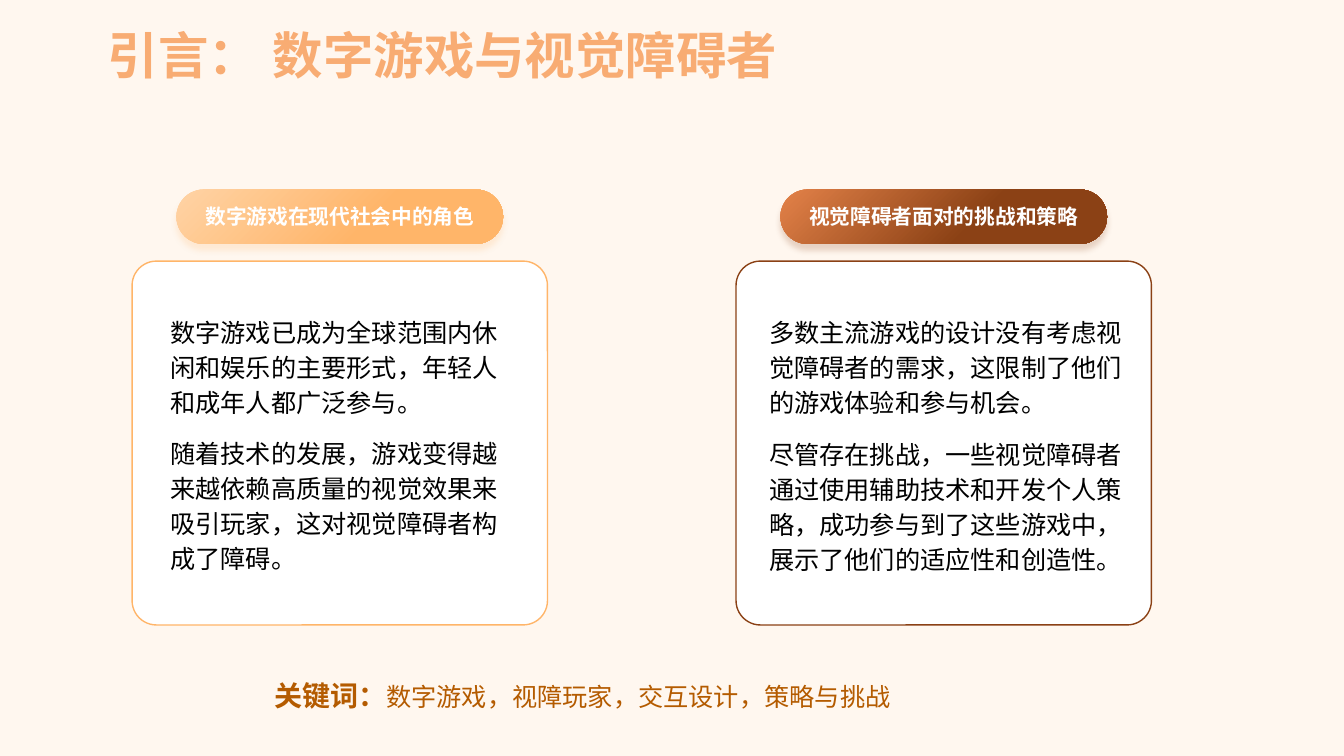
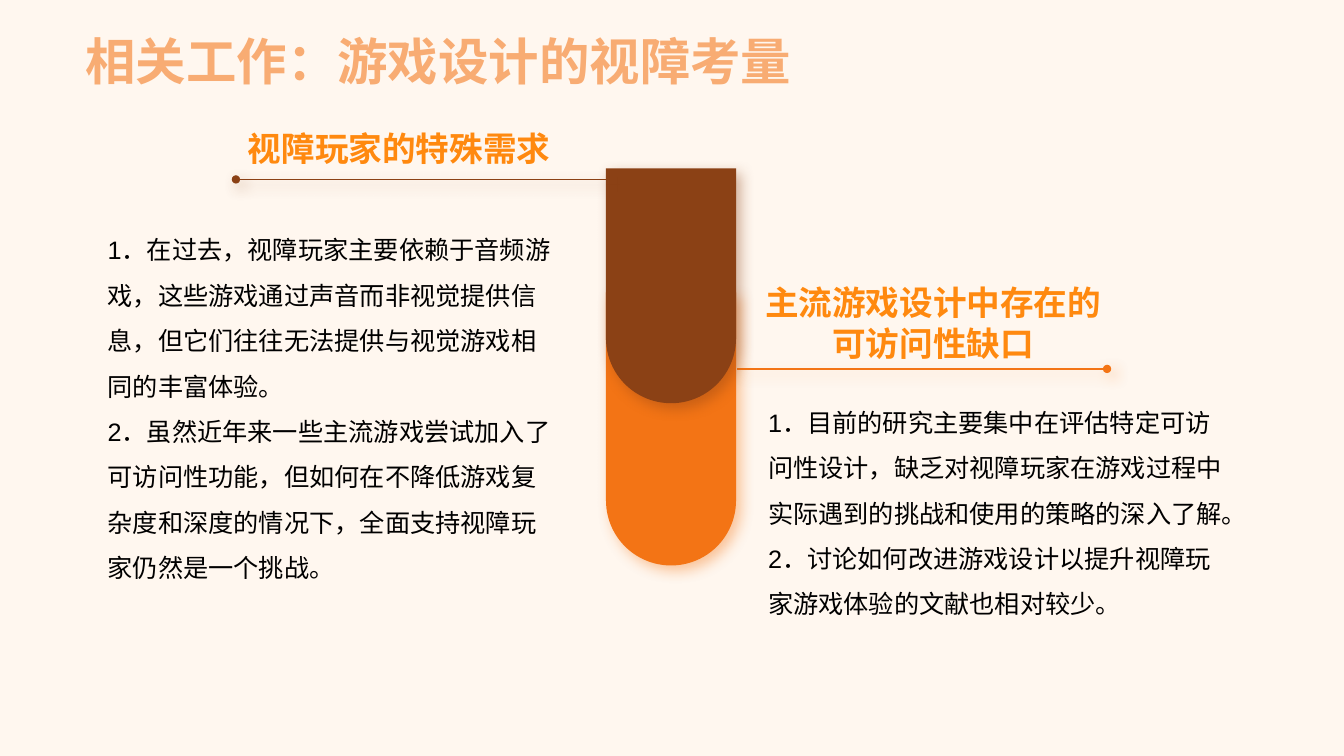
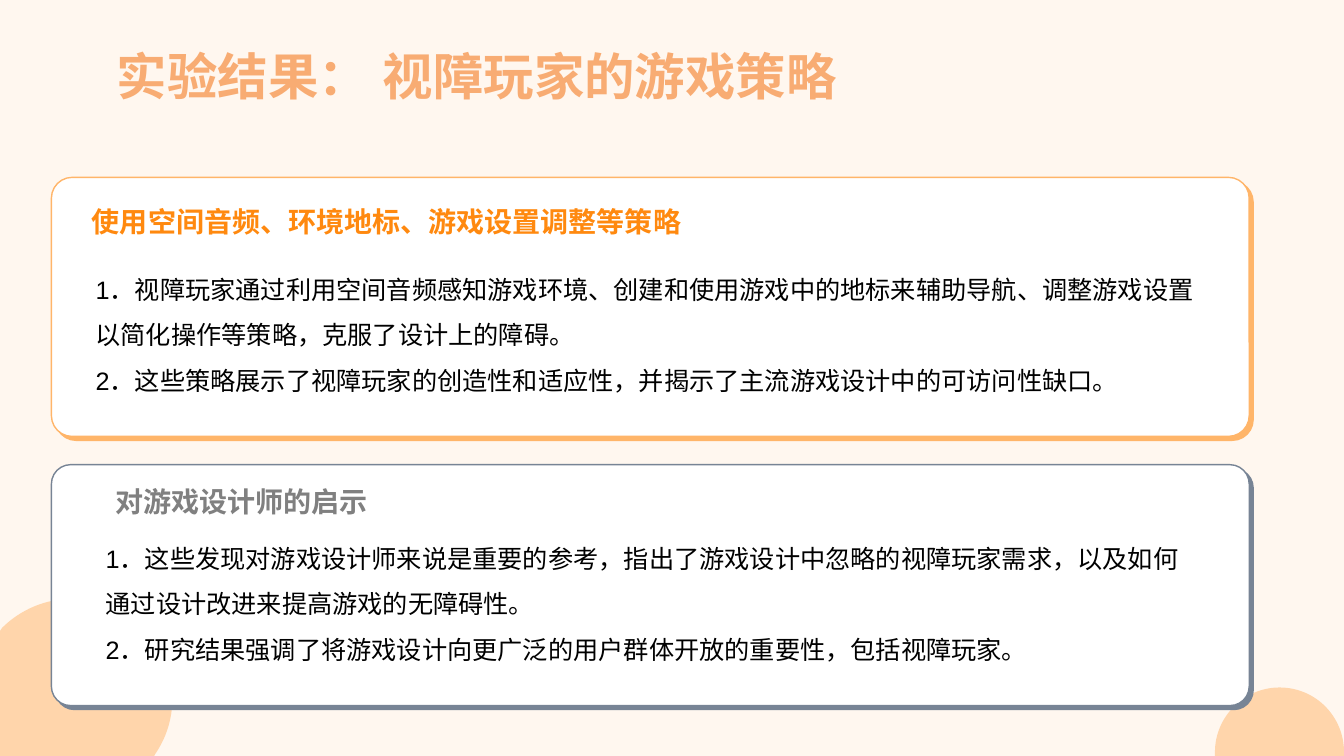
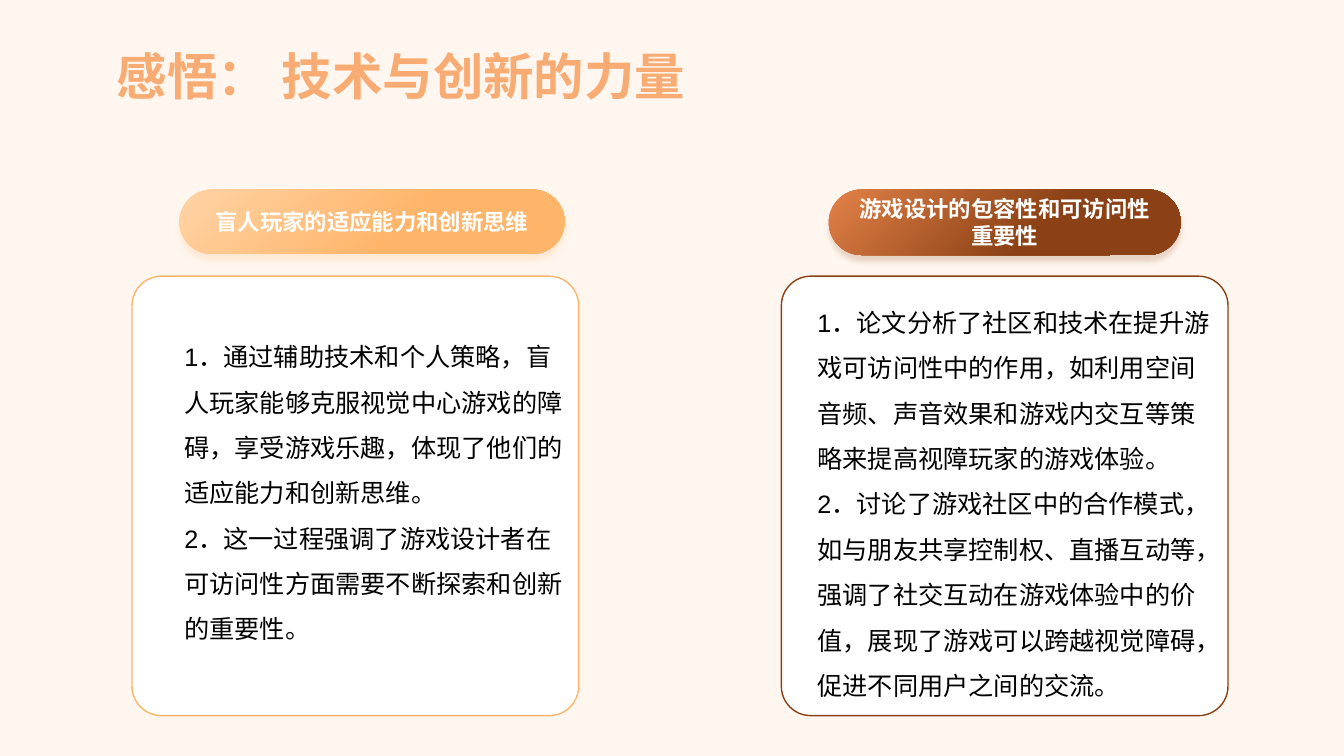
from dataclasses import dataclass

from lxml import etree
from pptx import Presentation
from pptx.dml.color import RGBColor
from pptx.enum.lang import MSO_LANGUAGE_ID
from pptx.enum.shapes import MSO_CONNECTOR, MSO_SHAPE
from pptx.enum.text import MSO_ANCHOR, MSO_AUTO_SIZE, PP_ALIGN
from pptx.oxml.ns import qn
from pptx.util import Inches, Pt

STRAIGHT = MSO_CONNECTOR.STRAIGHT
RECTANGLE = MSO_SHAPE.RECTANGLE
ROUNDED = MSO_SHAPE.ROUNDED_RECTANGLE
ROUND_TOP = MSO_SHAPE.ROUND_2_SAME_RECTANGLE
MIDDLE = MSO_ANCHOR.MIDDLE
FIT_SHAPE = MSO_AUTO_SIZE.SHAPE_TO_FIT_TEXT
LEFT, CENTER = PP_ALIGN.LEFT, PP_ALIGN.CENTER
CHINESE = MSO_LANGUAGE_ID.SIMPLIFIED_CHINESE

FONT = "Arial"
WIDTH, HEIGHT = 13.33, 7.5
WHITE = RGBColor(0xFF, 0xFF, 0xFF)
BLACK = RGBColor(0, 0, 0)
PEACH = RGBColor(0xF8, 0xAC, 0x73)
APRICOT = RGBColor(0xFF, 0xB5, 0x69)
LIGHT_APRICOT = RGBColor(0xFF, 0xD3, 0xA5)
ORANGE = RGBColor(0xF3, 0x74, 0x15)
BRIGHT_ORANGE = RGBColor(0xFF, 0x89, 0x0F)
COPPER = RGBColor(0xE3, 0x82, 0x49)
BROWN = RGBColor(0x8B, 0x41, 0x15)
AMBER = RGBColor(0xB4, 0x5B, 0x00)
SLATE = RGBColor(0x77, 0x84, 0x95)
GRAY = RGBColor(0x80, 0x80, 0x80)


@dataclass(frozen=True)
class Area:
    left: float
    top: float
    width: float
    height: float

    def lengths(self) -> list:
        return [Inches(n) for n in (self.left, self.top, self.width, self.height)]


@dataclass(frozen=True)
class Style:
    size: float
    color: RGBColor
    bold: bool = False


@dataclass(frozen=True)
class Shadow:
    opacity: int
    blur: float
    distance: float
    angle: int


@dataclass(frozen=True)
class Tone:
    start: RGBColor
    main: RGBColor


@dataclass(frozen=True)
class Card:
    area: Area
    pill: Area
    tone: Tone
    heading: str


@dataclass(frozen=True)
class Band:
    area: Area
    color: RGBColor
    line_start: float
    line_end: float
    line_top: float


@dataclass(frozen=True)
class Panel:
    area: Area
    color: RGBColor
    heading_area: Area
    heading: str
    heading_color: RGBColor
    body_area: Area
    body: list


TITLE = Style(36, PEACH, True)
BODY = Style(18, BLACK)
HEADING = Style(24, BRIGHT_ORANGE, True)
WARM = Tone(LIGHT_APRICOT, APRICOT)
DARK = Tone(COPPER, BROWN)
PILL_SHADOW = Shadow(20, 4, 4, 90)
BAND_SHADOW = Shadow(40, 10, 5, 45)
PANEL_SHADOW = Shadow(100, 0, 4, 45)
NUMBERED = {"line_spacing": 1.5}

# Corner outlines: one point is a line, three points are a curve
LEFT_CORNER = (
    ((0.72, 5.94),),
    ((1.27, 5.94), (1.71, 6.38), (1.71, 6.93)),
    ((1.71, 7.13), (1.65, 7.32), (1.54, 7.48)),
    ((1.53, 7.5),), ((0, 7.5),), ((0, 6.26),), ((0.02, 6.23),),
    ((0.2, 6.05), (0.45, 5.94), (0.72, 5.94)),
)
RIGHT_CORNER = (
    ((12.69, 6.82),),
    ((13.05, 6.82), (13.33, 7.11), (13.33, 7.46)),
    ((13.33, 7.5),), ((12.05, 7.5),), ((12.05, 7.46),),
    ((12.05, 7.11), (12.34, 6.82), (12.69, 6.82)),
)


# Shared drawing
def add_span(para, text: str, style: Style) -> None:
    span = para.add_run()
    span.text = text
    span.font.color.rgb = style.color
    values = {"name": FONT, "size": Pt(style.size), "bold": style.bold,
              "language_id": CHINESE}
    for name, value in values.items():
        setattr(span.font, name, value)
    east_asian = etree.SubElement(span._r.get_or_add_rPr(), qn("a:ea"))
    east_asian.set("typeface", FONT)


def add_text(page, area: Area, paragraphs: list, style: Style,
             para_format: dict | None = None):
    box = page.shapes.add_textbox(*area.lengths())
    frame = box.text_frame
    frame.word_wrap = True
    frame.auto_size = FIT_SHAPE
    for index, text in enumerate(paragraphs):
        para = frame.add_paragraph() if index else frame.paragraphs[0]
        for name, value in (para_format or {}).items():
            setattr(para, name, value)
        add_span(para, text, style)
    return box


def set_shadow(shape, color: RGBColor, shadow: Shadow | None) -> None:
    effects = etree.SubElement(shape._element.spPr, qn("a:effectLst"))
    if shadow is None:
        return
    outer = etree.SubElement(effects, qn("a:outerShdw"))
    values = {"blurRad": Pt(shadow.blur), "dist": Pt(shadow.distance),
              "dir": shadow.angle * 60000, "algn": "tl", "rotWithShape": 0}
    for name, value in values.items():
        outer.set(name, str(value))
    tint = etree.SubElement(outer, qn("a:srgbClr"), val=str(color))
    etree.SubElement(tint, qn("a:alpha"), val=str(shadow.opacity * 1000))


def set_tint(shape, color: RGBColor, opacity: int) -> None:
    """Give a plain see-through fill without line or shadow."""
    shape.fill.solid()
    shape.fill.fore_color.rgb = color
    tint = shape._element.spPr.find(qn("a:solidFill"))[0]
    etree.SubElement(tint, qn("a:alpha"), val=str(opacity * 1000))
    shape.line.fill.background()
    set_shadow(shape, color, None)


def add_box(page, kind, area: Area, radius: float, fill: RGBColor | Tone,
            line: RGBColor | None = None, shadow: Shadow | None = None,
            shadow_color: RGBColor = APRICOT):
    box = page.shapes.add_shape(kind, *area.lengths())
    box.adjustments[0] = radius
    if isinstance(fill, Tone):
        box.fill.gradient()
        box.fill.gradient_angle = 315
        stops = zip(box.fill.gradient_stops, (0, 0.6), (fill.start, fill.main))
        for stop, position, color in stops:
            stop.position = position
            stop.color.rgb = color
    else:
        box.fill.solid()
        box.fill.fore_color.rgb = fill
    if line is None:
        box.line.fill.background()
    else:
        box.line.color.rgb = line
        box.line.width = Pt(1)
    set_shadow(box, shadow_color, shadow)
    return box


def add_page(deck, title: str, area: Area):
    page = deck.slides.add_slide(deck.slide_layouts[6])
    add_text(page, area, [title], TITLE)
    return page


def add_master_tint(deck) -> None:
    """Place the tint on the master, where every page shows it."""
    page = deck.slides[0]
    tint = page.shapes.add_shape(RECTANGLE, *Area(0, 0, WIDTH, HEIGHT).lengths())
    set_tint(tint, APRICOT, 10)
    deck.slide_master.shapes._spTree.insert(2, tint._element)


def add_card(page, card: Card, size: float) -> None:
    add_box(page, ROUNDED, card.area, 0.067, WHITE, card.tone.main)
    pill = add_box(page, ROUNDED, card.pill, 0.5, card.tone,
                   shadow=PILL_SHADOW, shadow_color=card.tone.main)
    frame = pill.text_frame
    values = {"word_wrap": True, "vertical_anchor": MIDDLE,
              "margin_left": Inches(0.15), "margin_right": Inches(0.15)}
    for name, value in values.items():
        setattr(frame, name, value)
    frame.paragraphs[0].alignment = CENTER
    add_span(frame.paragraphs[0], card.heading, Style(size, WHITE, True))


def add_band(page, band: Band) -> None:
    box = add_box(page, ROUND_TOP, band.area, 0.5, band.color,
                  shadow=BAND_SHADOW, shadow_color=band.color)
    box.rotation = 180
    top = Inches(band.line_top)
    line = page.shapes.add_connector(STRAIGHT, Inches(band.line_start), top,
                                     Inches(band.line_end), top)
    line.line.color.rgb = band.color
    line.line.width = Pt(1)
    etree.SubElement(line.line._get_or_add_ln(), qn("a:headEnd"), type="oval")
    set_shadow(line, band.color, BAND_SHADOW)


def add_corner(page, outline: tuple) -> None:
    points = [(Inches(x), Inches(y)) for part in outline for x, y in part]
    builder = page.shapes.build_freeform(*points[0])
    builder.add_line_segments(points[1:], close=True)
    corner = builder.convert_to_shape()
    # Join each three line ends into one curve
    lines = iter(list(corner._element.iter(qn("a:lnTo"))))
    for part in outline[1:]:
        first = next(lines)
        if len(part) == 3:
            curve = etree.Element(qn("a:cubicBezTo"))
            first.addprevious(curve)
            for line in (first, next(lines), next(lines)):
                curve.append(line[0])
                line.getparent().remove(line)
    set_tint(corner, APRICOT, 50)


def add_panel(page, panel: Panel) -> None:
    add_box(page, ROUNDED, panel.area, 0.08, WHITE, panel.color,
            PANEL_SHADOW, panel.color)
    add_text(page, panel.heading_area, [panel.heading],
             Style(20, panel.heading_color, True), {"alignment": CENTER})
    add_text(page, panel.body_area, panel.body, BODY, NUMBERED)


# Slides
def build_introduction(deck) -> None:
    page = add_page(deck, "引言： 数字游戏与视觉障碍者", Area(0.97, 0.19, 7.75, 0.71))
    keywords = add_text(page, Area(2.62, 6.68, 6.67, 0.44), ["关键词："],
                        Style(20, AMBER, True))
    add_span(keywords.text_frame.paragraphs[0],
             "数字游戏，视障玩家，交互设计，策略与挑战", Style(18, AMBER))
    headings = ((1.31, WARM, "数字游戏在现代社会中的角色"),
                (7.3, DARK, "视觉障碍者面对的挑战和策略"))
    for left, tone, heading in headings:
        add_card(page, Card(Area(left, 2.59, 4.12, 3.61),
                            Area(left + 0.44, 1.88, 3.24, 0.54),
                            tone, heading), 14.8)
    texts = (
        (Area(1.59, 3.05, 3.56, 1.12), 0,
         ["数字游戏已成为全球范围内休闲和娱乐的主要形式，年轻人和成年人都广泛参与。"]),
        (Area(1.59, 4.25, 3.56, 1.61), 10,
         ["随着技术的发展，游戏变得越来越依赖高质量的视觉效果来吸引玩家，这对视觉障碍者构成了障碍。"]),
        (Area(7.53, 3.05, 3.89, 2.7), 12,
         ["多数主流游戏的设计没有考虑视觉障碍者的需求，这限制了他们的游戏体验和参与机会。",
          "尽管存在挑战，一些视觉障碍者通过使用辅助技术和开发个人策略，成功参与到了这些游戏中，"
          "展示了他们的适应性和创造性。"]),
    )
    for area, before, paragraphs in texts:
        add_text(page, area, paragraphs, BODY,
                 {"line_spacing": Pt(25), "space_before": Pt(before)})


def build_related_work(deck) -> None:
    page = add_page(deck, "相关工作：游戏设计的视障考量", Area(0.75, 0.25, 7.9, 0.71))
    bands = (Band(Area(6.01, 2.9, 1.29, 2.71), ORANGE, 10.98, 7.31, 3.66),
             Band(Area(6.01, 1.67, 1.29, 2.33), BROWN, 2.34, 6.01, 1.78))
    for band in bands:
        add_band(page, band)
    texts = (
        (Area(0.97, 2.13, 4.61, 3.68),
         ["1．在过去，视障玩家主要依赖于音频游戏，这些游戏通过声音而非视觉提供信息，"
          "但它们往往无法提供与视觉游戏相同的丰富体验。",
          "2．虽然近年来一些主流游戏尝试加入了可访问性功能，但如何在不降低游戏复杂度和深度的情况下，"
          "全面支持视障玩家仍然是一个挑战。"]),
        (Area(7.52, 3.84, 4.76, 2.32),
         ["1．目前的研究主要集中在评估特定可访问性设计，"
          "缺乏对视障玩家在游戏过程中实际遇到的挑战和使用的策略的深入了解。",
          "2．讨论如何改进游戏设计以提升视障玩家游戏体验的文献也相对较少。"]),
    )
    for area, paragraphs in texts:
        add_text(page, area, paragraphs, BODY, NUMBERED)
    headings = (
        (Area(2.36, 1.22, 3.44, 0.5), LEFT, ["视障玩家的特殊需求"]),
        (Area(6.36, 2.75, 5.79, 0.91), CENTER,
         ["主流游戏设计中存在的", "可访问性缺口"]),
    )
    for area, alignment, paragraphs in headings:
        add_text(page, area, paragraphs, HEADING, {"alignment": alignment})


def build_results(deck) -> None:
    page = add_page(deck, "实验结果： 视障玩家的游戏策略", Area(1.06, 0.4, 8.89, 0.71))
    for outline in (LEFT_CORNER, RIGHT_CORNER):
        add_corner(page, outline)
    panels = (
        Panel(Area(0.51, 1.76, 11.88, 2.57), APRICOT,
              Area(-0.08, 1.98, 7.83, 0.44),
              "使用空间音频、环境地标、游戏设置调整等策略", BRIGHT_ORANGE,
              Area(0.85, 2.52, 11.2, 1.41),
              ["1．视障玩家通过利用空间音频感知游戏环境、创建和使用游戏中的地标来辅助导航、"
               "调整游戏设置以简化操作等策略，克服了设计上的障碍。",
               "2．这些策略展示了视障玩家的创造性和适应性，并揭示了主流游戏设计中的可访问性缺口。"]),
        Panel(Area(0.51, 4.61, 11.88, 2.39), SLATE,
              Area(-1.52, 4.76, 7.83, 0.44),
              "对游戏设计师的启示", GRAY,
              Area(0.95, 5.19, 10.93, 1.41),
              ["1．这些发现对游戏设计师来说是重要的参考，指出了游戏设计中忽略的视障玩家需求，"
               "以及如何通过设计改进来提高游戏的无障碍性。",
               "2．研究结果强调了将游戏设计向更广泛的用户群体开放的重要性，包括视障玩家。"]),
    )
    for panel in panels:
        add_panel(page, panel)


def build_reflection(deck) -> None:
    page = add_page(deck, "感悟： 技术与创新的力量", Area(1.06, 0.4, 6.67, 0.71))
    cards = (
        Card(Area(1.31, 2.74, 4.43, 4.36), Area(1.78, 1.88, 3.82, 0.64),
             WARM, "盲人玩家的适应能力和创新思维"),
        Card(Area(7.75, 2.74, 4.43, 4.36), Area(8.22, 1.88, 3.49, 0.65),
             DARK, "游戏设计的包容性和可访问性重要性"),
    )
    for card in cards:
        add_card(page, card, 16)
    texts = (
        (Area(1.73, 3.19, 3.95, 3.23),
         ["1．通过辅助技术和个人策略，盲人玩家能够克服视觉中心游戏的障碍，享受游戏乐趣，"
          "体现了他们的适应能力和创新思维。",
          "2．这一过程强调了游戏设计者在可访问性方面需要不断探索和创新的重要性。"]),
        (Area(8.01, 2.85, 4.17, 4.14),
         ["1．论文分析了社区和技术在提升游戏可访问性中的作用，"
          "如利用空间音频、声音效果和游戏内交互等策略来提高视障玩家的游戏体验。",
          "2．讨论了游戏社区中的合作模式，如与朋友共享控制权、直播互动等，"
          "强调了社交互动在游戏体验中的价值，展现了游戏可以跨越视觉障碍，促进不同用户之间的交流。"]),
    )
    for area, paragraphs in texts:
        add_text(page, area, paragraphs, BODY, NUMBERED)


def main() -> None:
    deck = Presentation()
    deck.slide_width, deck.slide_height = Inches(WIDTH), Inches(HEIGHT)
    for build in (build_introduction, build_related_work, build_results,
                  build_reflection):
        build(deck)
    add_master_tint(deck)
    deck.save("out.pptx")


if __name__ == "__main__":
    main()
